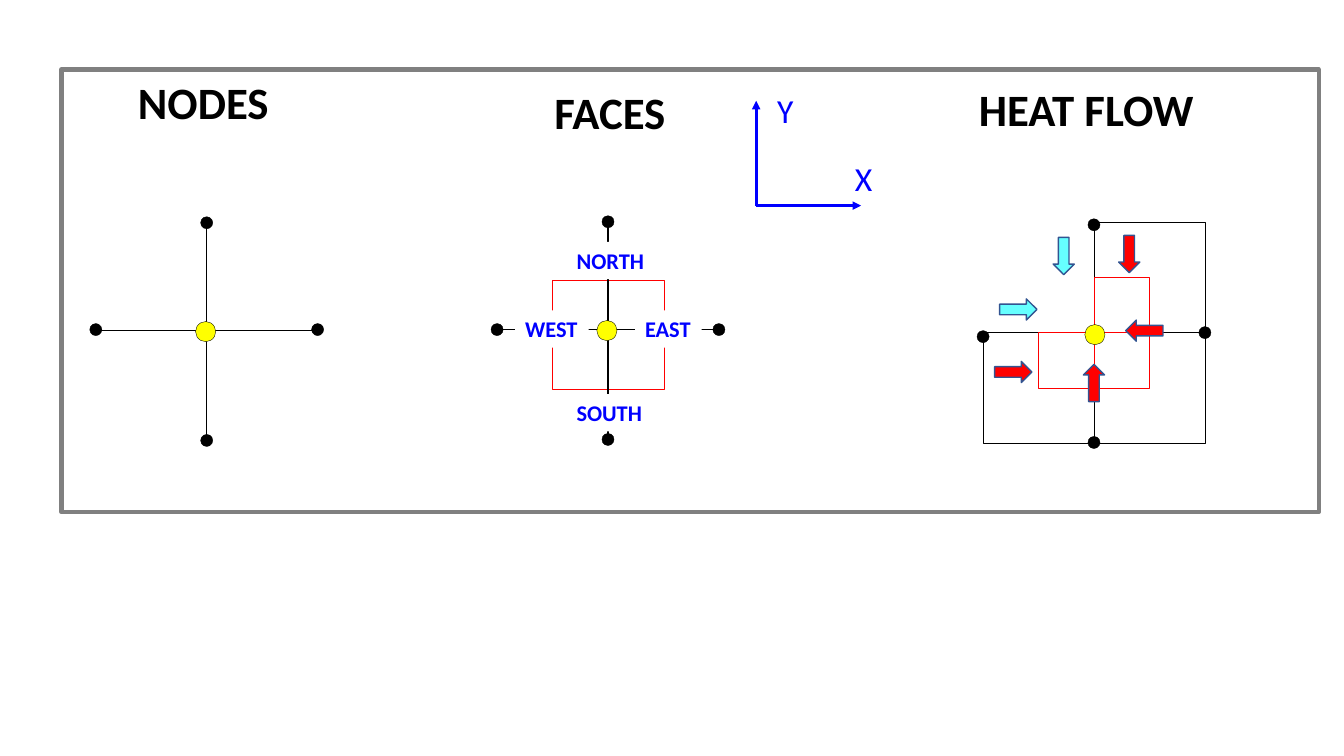
import pptx
import pptx.util
import pptx.dml.color
import pptx.enum.shapes
import pptx.enum.text
import pptx.oxml.ns
import lxml.etree

inch, pt = pptx.util.Inches, pptx.util.Pt
tint = pptx.dml.color.RGBColor.from_string
kinds = pptx.enum.shapes.MSO_SHAPE
qn = pptx.oxml.ns.qn

BLACK, RED, BLUE, CYAN = "000000", "FF0000", "0000FF", "66FFFF"
YELLOW, GREY, WHITE, NAVY = "FFFF00", "808080", "FFFFFF", "325491"

deck = pptx.Presentation()
deck.slide_width, deck.slide_height = inch(13.33), inch(7.5)
slide = deck.slides.add_slide(deck.slide_layouts[6])
shapes = slide.shapes


def put(kind, x, y, wide, high, fill=None, edge=BLACK, weight=0.25):
    """Draw a shape centred on x, y."""
    shape = shapes.add_shape(kind, inch(x - wide / 2), inch(y - high / 2),
                             inch(wide), inch(high))
    shape.shadow.inherit = False
    if fill:
        shape.fill.solid()
        shape.fill.fore_color.rgb = tint(fill)
    else:
        shape.fill.background()
    shape.line.color.rgb = tint(edge)
    shape.line.width = pt(weight)


def join(x1, y1, x2, y2, color=BLACK, weight=1, arrow=False):
    """Draw a straight line, with an arrowhead at its end if asked."""
    line = shapes.add_connector(pptx.enum.shapes.MSO_CONNECTOR.STRAIGHT,
                                inch(x1), inch(y1), inch(x2), inch(y2))
    line.line.color.rgb = tint(color)
    line.line.width = pt(weight)
    if arrow:
        lxml.etree.SubElement(line.line._get_or_add_ln(), qn("a:tailEnd"),
                              type="triangle")
    lxml.etree.SubElement(line._element.spPr, qn("a:effectLst"))


# Mesh pitch, and the middle of each diagram
STEP = 1.1
HALF = STEP / 2
MID = 3.28
NODES, FACES, HEAT = 2.05, 6.03, 10.85
BASE = 3.3

# Mesh squares of the heat flow diagram
for col, row in [(1, -1), (1, 1), (-1, 1)]:
    put(kinds.RECTANGLE, HEAT + col * HALF, BASE + row * HALF, STEP, STEP)

# Outer nodes: middle, then heights of north, side west, side east, south
for x, north, west, east, south in [(NODES, 2.21, 3.27, 3.27, 4.37),
                                    (FACES, 2.2, 3.27, 3.27, 4.36),
                                    (HEAT, 2.23, 3.34, 3.3, 4.39)]:
    for col, y in [(0, north), (-1, west), (1, east), (0, south)]:
        put(kinds.OVAL, x + col * STEP, y, 0.12, 0.12, BLACK)

# Heat flow cells
for col, row in [(-1, 1), (1, 1), (1, -1)]:
    put(kinds.RECTANGLE, HEAT + col * HALF / 2, BASE + row * HALF / 2,
        HALF, HALF, edge=RED)

# Heat flow arrows
LONG, THIN = 0.37, 0.21
for kind, x, y, fill in [(kinds.DOWN_ARROW, 11.2, 2.52, RED),
                         (kinds.UP_ARROW, 10.85, 3.8, RED),
                         (kinds.LEFT_ARROW, 11.35, 3.28, RED),
                         (kinds.RIGHT_ARROW, 10.05, 3.69, RED),
                         (kinds.RIGHT_ARROW, 10.1, 3.07, CYAN),
                         (kinds.DOWN_ARROW, 10.55, 2.54, CYAN)]:
    flat = kind in (kinds.LEFT_ARROW, kinds.RIGHT_ARROW)
    wide, high = (LONG, THIN) if flat else (THIN, LONG)
    put(kind, x, y, wide, high, fill, NAVY, 1)

# Control volume of the faces diagram, then the crossing lines
put(kinds.RECTANGLE, FACES, 3.32, 1.11, 1.09, edge=RED)
for x, y in [(NODES, MID), (FACES, MID - 0.01)]:
    join(x - 1.06, y, x + 1.06, y)
    join(x, y - 1.06, x, y + 1.07)

# Central nodes
for x, y in [(NODES - 0.01, 3.29), (FACES - 0.01, MID), (HEAT + 0.01, 3.32)]:
    put(kinds.OVAL, x, y, 0.2, 0.2, YELLOW)

# Frame and axes
put(kinds.RECTANGLE, 6.845, 2.885, 12.47, 4.39, edge=GREY, weight=3)
for x, y in [(8.54, 2.04), (7.5, 1)]:
    join(7.5, 2.04, x, y, BLUE, 2, True)

# Words: face names on white, headings, axis names
for word, x, y, wide, high, size, color in [
        ("NORTH", 5.62, 2.4, 0.88, 0.37, 16, BLUE),
        ("SOUTH", 5.62, 3.91, 0.86, 0.37, 16, BLUE),
        ("EAST", 6.3, 3.08, 0.66, 0.37, 16, BLUE),
        ("WEST", 5.11, 3.08, 0.73, 0.37, 16, BLUE),
        ("NODES", 1.27, 0.69, 1.51, 0.64, 32, BLACK),
        ("FACES", 5.4, 0.79, 1.32, 0.64, 32, BLACK),
        ("HEAT FLOW", 9.61, 0.76, 2.35, 0.64, 32, BLACK),
        ("X", 8.38, 1.52, 0.38, 0.5, 24, BLUE),
        ("Y", 7.61, 0.84, 0.38, 0.5, 24, BLUE)]:
    box = shapes.add_textbox(inch(x), inch(y), inch(wide), inch(high))
    if size == 16:
        box.fill.solid()
        box.fill.fore_color.rgb = tint(WHITE)
    frame = box.text_frame
    frame.word_wrap = False
    frame.auto_size = pptx.enum.text.MSO_AUTO_SIZE.SHAPE_TO_FIT_TEXT
    frame.text = word
    font = frame.paragraphs[0].font
    font.name, font.size, font.bold = "Calibri", pt(size), size != 24
    font.color.rgb = tint(color)

deck.save("out.pptx")
